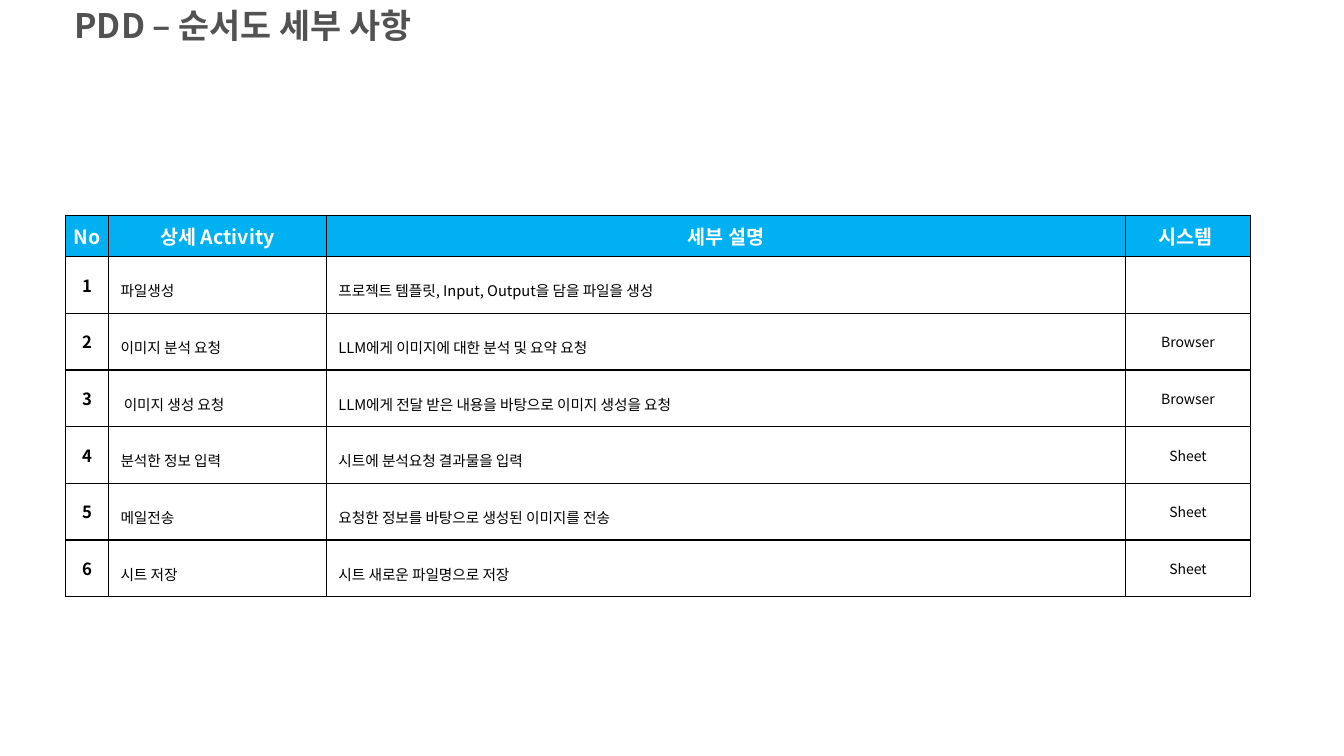
from lxml import etree
from pptx import Presentation, util as u
from pptx.dml.color import RGBColor
from pptx.enum import text as t
from pptx.oxml.ns import qn

FONT = "Noto Sans CJK KR"
WHITE = RGBColor(0xFF, 0xFF, 0xFF)
BLACK = RGBColor(0, 0, 0)
GRAY = RGBColor(0x52, 0x52, 0x52)
SKY = RGBColor(0x00, 0xB0, 0xF0)
SLIDE_W, SLIDE_H = u.Inches(13.33), u.Inches(7.5)

HEADINGS = ["No", "상세 Activity", "세부 설명", "시스템"]
STEPS = [
    ("파일생성", "프로젝트 템플릿, Input, Output을 담을 파일을 생성", ""),
    ("이미지 분석 요청", "LLM에게 이미지에 대한 분석 및 요약 요청", "Browser"),
    (" 이미지 생성 요청", "LLM에게 전달 받은 내용을 바탕으로 이미지 생성을 요청", "Browser"),
    ("분석한 정보 입력", "시트에 분석요청 결과물을 입력", "Sheet"),
    ("메일전송", "요청한 정보를 바탕으로 생성된 이미지를 전송", "Sheet"),
    ("시트 저장", "시트 새로운 파일명으로 저장", "Sheet"),
]
COLUMN_SHARES = [3.6, 18.4, 67.5, 10.5]
HEADING_ROW, STEP_ROW = 5.4, 7.5

CENTER = t.PP_ALIGN.CENTER
HEADING_STYLE = dict(size=14, color=WHITE, bold=True, align=CENTER)
NUMBER_STYLE = dict(size=12, bold=True, align=CENTER)
DETAIL_STYLE = dict(size=10.5, spacing=1.5)
SYSTEM_STYLE = dict(size=10, align=CENTER)
STEP_STYLES = [NUMBER_STYLE, DETAIL_STYLE, DETAIL_STYLE, SYSTEM_STYLE]


def across(percent):
    return round(SLIDE_W * percent / 100)


def down(percent):
    return round(SLIDE_H * percent / 100)


def write(frame, words, size=12, color=BLACK, bold=False, align=t.PP_ALIGN.LEFT, spacing=None):
    paragraph = frame.paragraphs[0]
    paragraph.alignment = align
    paragraph.line_spacing = spacing
    if not words:
        return
    run = paragraph.add_run()
    run.text = words
    run.font.size = u.Pt(size)
    run.font.bold = bold
    run.font.color.rgb = color
    run.font.name = FONT
    etree.SubElement(run.font._element, qn("a:ea"), typeface=FONT)


def outline(cell):
    properties = cell._tc.get_or_add_tcPr()
    for side in ("lnL", "lnR", "lnT", "lnB"):
        border = etree.SubElement(properties, qn(f"a:{side}"), w=str(u.Pt(1)))
        fill = etree.SubElement(border, qn("a:solidFill"))
        etree.SubElement(fill, qn("a:srgbClr"), val=str(BLACK))


def fill_cell(cell, words, background=None, indent=0.04, **style):
    cell.vertical_anchor = t.MSO_ANCHOR.MIDDLE
    cell.margin_left = u.Inches(indent)
    cell.margin_right = cell.margin_top = cell.margin_bottom = u.Inches(0.04)
    outline(cell)
    if background is None:
        cell.fill.background()
    else:
        cell.fill.solid()
        cell.fill.fore_color.rgb = background
    write(cell.text_frame, words, **style)


def add_title(slide, words):
    title = slide.shapes.add_textbox(across(4.8), 0, across(38.5), down(6.8))
    title.text_frame.word_wrap = True
    write(title.text_frame, words, size=24.1, color=GRAY, bold=True)


def add_steps(slide):
    width = across(88.12)
    height = down(HEADING_ROW + STEP_ROW * len(STEPS))
    steps = slide.shapes.add_table(
        len(STEPS) + 1, len(HEADINGS), across(4.9), down(28.55), width, height
    ).table
    steps.horz_banding = False
    for column, share in zip(steps.columns, COLUMN_SHARES):
        column.width = round(width * share / 100)
    for number, row in enumerate(steps.rows):
        row.height = down(STEP_ROW if number else HEADING_ROW)
    for place, heading in enumerate(HEADINGS):
        indent = 0 if heading == HEADINGS[-1] else 0.04
        fill_cell(steps.cell(0, place), heading, SKY, indent, **HEADING_STYLE)
    for number, step in enumerate(STEPS, 1):
        for place, (words, style) in enumerate(zip((str(number), *step), STEP_STYLES)):
            indent = 0.12 if style is DETAIL_STYLE else 0.04
            fill_cell(steps.cell(number, place), words, indent=indent, **style)


def main():
    deck = Presentation()
    deck.slide_width, deck.slide_height = SLIDE_W, SLIDE_H
    slide = deck.slides.add_slide(deck.slide_layouts[6])
    add_steps(slide)
    add_title(slide, "PDD – 순서도 세부 사항")
    deck.save("out.pptx")


if __name__ == "__main__":
    main()
